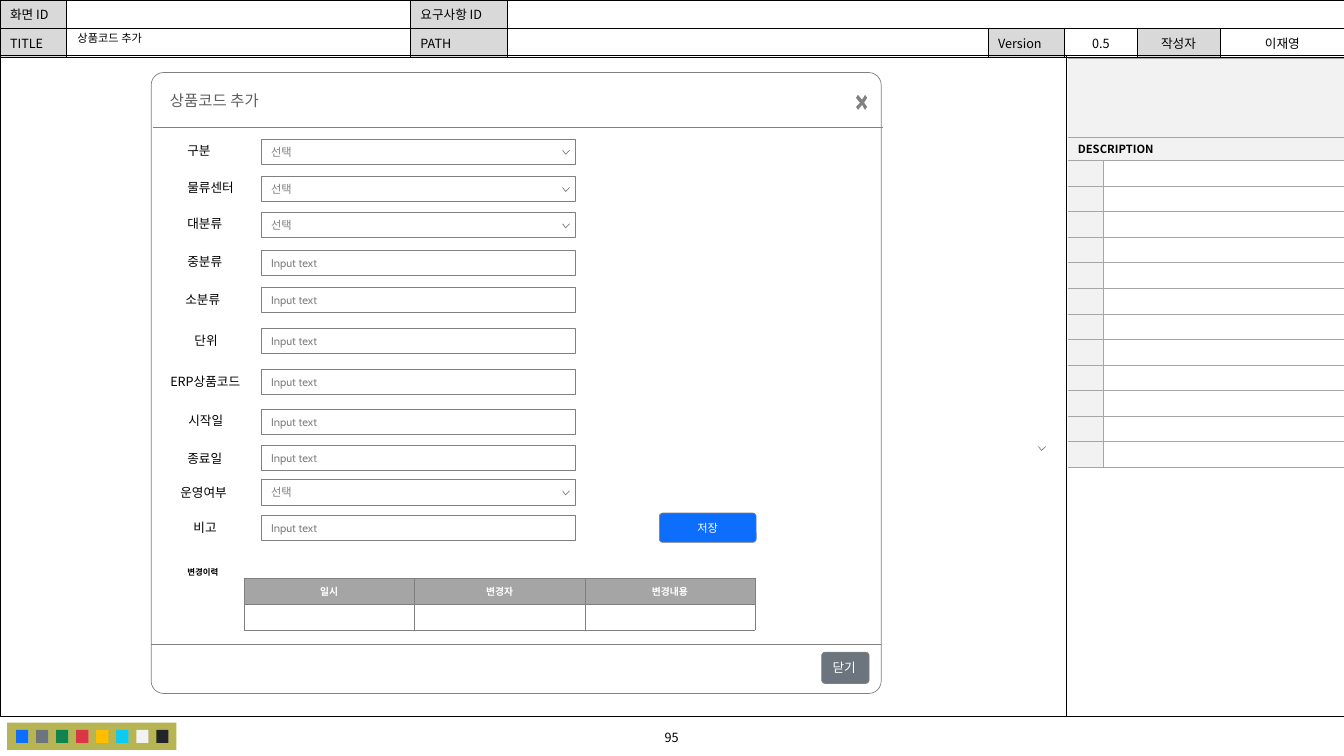
import dataclasses
import lxml.etree
import pptx
import pptx.dml.color
import pptx.enum.shapes
import pptx.enum.text
import pptx.oxml.ns
import pptx.util

Inches = pptx.util.Inches
Kind = pptx.enum.shapes.MSO_SHAPE
Side = pptx.enum.text.PP_ALIGN
Anchor = pptx.enum.text.MSO_ANCHOR
qn = pptx.oxml.ns.qn


@dataclasses.dataclass(frozen=True)
class Theme:
    """Colours, fonts and type sizes."""
    ink: str = "000000"
    white: str = "FFFFFF"
    gray: str = "808080"
    title: str = "5F5F5F"
    label: str = "D9D9D9"
    pale: str = "F2F2F2"
    rule: str = "A6A6A6"
    head: str = "A5A5A5"
    blue: str = "0D6EFD"
    slate: str = "6C757D"
    olive: str = "B7B553"
    chips: tuple = ("0D6EFD", "6C757D", "10834E", "DC3545",
                    "FFBE00", "0DCAF0", "F2F2F2", "212529")
    noto: str = "Noto Sans CJK KR"
    cabin: str = "Cabin"
    big: int = 11
    body: int = 9
    small: int = 8
    tiny: int = 7
    note: int = 6


class Page:
    """Draws styled elements on one slide."""

    def __init__(self, slide, theme):
        self.shapes = slide.shapes
        self.theme = theme

    def color(self, code):
        return pptx.dml.color.RGBColor.from_string(code)

    def add_run(self, frame, text, size, color, font, bold=False, side=Side.LEFT):
        para = frame.paragraphs[0]
        para.alignment = side
        run = para.add_run()
        run.text = text
        run.font.size = pptx.util.Pt(size)
        run.font.name = font
        run.font.bold = bold
        run.font.color.rgb = self.color(color)
        east = lxml.etree.SubElement(run._r.get_or_add_rPr(), qn("a:ea"))
        east.set("typeface", font)

    def inset(self, item, pads):
        left, top, right, bottom = map(Inches, pads)
        item.margin_left, item.margin_right = left, right
        item.margin_top, item.margin_bottom = top, bottom

    def paint(self, shape, fill, line, width):
        shape.shadow.inherit = False
        if fill:
            shape.fill.solid()
            shape.fill.fore_color.rgb = self.color(fill)
        else:
            shape.fill.background()
        if line:
            shape.line.color.rgb = self.color(line)
            shape.line.width = pptx.util.Pt(width)
        else:
            shape.line.fill.background()

    def box(self, at, fill=None, line=None, width=0.5, turn=None):
        kind = Kind.RECTANGLE if turn is None else Kind.ROUNDED_RECTANGLE
        shape = self.shapes.add_shape(kind, *map(Inches, at))
        if turn is not None:
            shape.adjustments[0] = turn
        self.paint(shape, fill, line, width)
        return shape

    def fill_in(self, shape, text, size, color, pads, anchor=Anchor.MIDDLE, side=Side.LEFT):
        frame = shape.text_frame
        frame.word_wrap = True
        frame.vertical_anchor = anchor
        self.inset(frame, pads)
        self.add_run(frame, text, size, color, self.theme.cabin, side=side)

    def text(self, at, text, size, bold=False, side=Side.LEFT, lead=None):
        frame = self.shapes.add_textbox(*map(Inches, at)).text_frame
        frame.word_wrap = True
        self.add_run(frame, text, size, self.theme.ink, self.theme.noto, bold, side)
        if lead:
            frame.paragraphs[0].line_spacing = lead

    def line(self, x1, y1, x2, y2, color):
        kind = pptx.enum.shapes.MSO_CONNECTOR.STRAIGHT
        line = self.shapes.add_connector(kind, *map(Inches, (x1, y1, x2, y2)))
        line.line.color.rgb = self.color(color)
        line.line.width = pptx.util.Pt(0.5)
        lxml.etree.SubElement(line._element.spPr, qn("a:effectLst"))

    def free(self, points, fill, line=None, close=False):
        spots = [(Inches(x), Inches(y)) for x, y in points]
        pen = self.shapes.build_freeform(*spots[0])
        pen.add_line_segments(spots[1:], close=close)
        self.paint(pen.convert_to_shape(), fill, line, 0.5)

    def arrow(self, x, y):
        points = [(x + 0.07, y), (x + 0.03, y + 0.04), (x, y)]
        self.free(points, self.theme.white, self.theme.gray)

    def field(self, top, pick):
        shape = self.box((2.59, top, 3.12, 0.25), self.theme.white, self.theme.gray)
        text = "선택" if pick else "Input text"
        self.fill_in(shape, text, self.theme.small, self.theme.gray, (0.1, 0.06, 0.28, 0.06))
        if pick:
            self.arrow(5.58, top + 0.11)

    def table(self, left, top, cols, rows):
        place = (left, top, sum(cols), sum(rows))
        table = self.shapes.add_table(len(rows), len(cols), *map(Inches, place)).table
        table.first_row = table.horz_banding = False
        for col, width in zip(table.columns, cols):
            col.width = Inches(width)
        for row, high in zip(table.rows, rows):
            row.height = Inches(high)
        return table

    def cell(self, cell, text, fill, edges, line, width, size, color=None,
             bold=False, side=Side.LEFT, pads=(0.1, 0.05, 0.1, 0.05), anchor=Anchor.MIDDLE):
        props = cell._tc.get_or_add_tcPr()
        for edge in "LRTB":
            border = lxml.etree.SubElement(props, qn("a:ln" + edge), w=str(pptx.util.Pt(width)))
            if edge in edges:
                paint = lxml.etree.SubElement(border, qn("a:solidFill"))
                lxml.etree.SubElement(paint, qn("a:srgbClr"), val=line)
            else:
                lxml.etree.SubElement(border, qn("a:noFill"))
        cell.fill.solid()
        cell.fill.fore_color.rgb = self.color(fill)
        cell.vertical_anchor = anchor
        self.inset(cell, pads)
        if text:
            self.add_run(cell.text_frame, text, size, color or self.theme.ink,
                         self.theme.noto, bold, side)
        else:
            para = cell.text_frame.paragraphs[0]._p
            lxml.etree.SubElement(para, qn("a:endParaRPr"), sz=str(size * 100))


def frame(page, t):
    """Draw the header, outline, page number and palette."""
    rows = (("화면 ID", "", "요구사항 ID", "", "", "", "", ""),
            ("TITLE", "", "PATH", "", "Version", "0.5", "작성자", "이재영"))
    grid = page.table(0, 0, (0.66, 3.41, 0.96, 4.77, 0.76, 0.72, 0.82, 1.24), (0.28, 0.28))
    grid.cell(0, 3).merge(grid.cell(0, 7))
    for r, row in enumerate(rows):
        for c, text in enumerate(row):
            fill = t.label if text and c not in (5, 7) else t.white
            side = Side.CENTER if c > 4 else Side.LEFT
            page.cell(grid.cell(r, c), text, fill, "LRTB", t.ink, 0.5, t.body,
                      side=side, anchor=Anchor.TOP)
    page.box((0, 0.55, 13.33, 6.56), line=t.ink, width=0.25)
    page.text((5.37, 7.19, 2.58, 0.25), "95", t.body, side=Side.CENTER)
    page.line(10.58, 0.56, 10.58, 7.11, t.ink)
    page.box((0.07, 7.17, 1.68, 0.27), t.olive)
    for i, chip in enumerate(t.chips):
        page.box((0.16 + i * 1.39 / 7, 7.24, 0.12, 0.13), chip)
    page.text((0.67, 0.28, 3.38, 0.2), "상품코드 추가", t.small, lead=0.9)


def dialog(page, t):
    """Draw the dialog with its fields, buttons and history."""
    panel = page.box((1.5, 0.72, 7.24, 6.16), t.white, t.gray, turn=0.02)
    page.fill_in(panel, "상품코드 추가", t.big, t.title, (0.15, 0.15, 0.1, 0.05), Anchor.TOP)
    page.line(1.52, 1.26, 8.76, 1.26, t.gray)
    page.line(1.5, 6.39, 8.74, 6.39, t.gray)
    cross = ((8.51, 0.94), (8.49, 0.97), (8.53, 1.02), (8.49, 1.06), (8.51, 1.09), (8.55, 1.04),
             (8.58, 1.09), (8.6, 1.06), (8.57, 1.02), (8.6, 0.97), (8.58, 0.94), (8.55, 0.99))
    page.free(cross, t.gray, close=True)
    save = page.box((6.54, 5.09, 0.96, 0.29), t.blue, t.gray, turn=0.11)
    page.fill_in(save, "저장", t.small, t.white, (0.11, 0.07, 0.11, 0.07), side=Side.CENTER)
    shut = page.box((8.15, 6.47, 0.47, 0.31), t.slate, t.gray, turn=0.11)
    page.fill_in(shut, "닫기", t.body, t.white, (0.1, 0.07, 0.1, 0.07))
    fields = (("구분", 1.76, 1.37, 0.75, 1.38, True), ("물류센터", 1.76, 1.74, 0.75, 1.75, True),
              ("대분류", 1.76, 2.09, 0.75, 2.11, True), ("중분류", 1.76, 2.47, 0.75, 2.48, False),
              ("소분류", 1.74, 2.85, 0.75, 2.85, False), ("단위", 1.83, 3.25, 0.61, 3.26, False),
              ("ERP상품코드", 1.59, 3.66, 0.98, 3.66, False),
              ("시작일", 1.77, 4.05, 0.66, 4.06, False), ("종료일", 1.76, 4.42, 0.66, 4.42, False),
              ("운영여부", 1.69, 4.76, 0.78, 4.76, True), ("비고", 1.82, 5.11, 0.46, 5.11, False))
    for name, left, top, width, spot, pick in fields:
        page.text((left, top, width, 0.25), name, t.body)
        page.field(spot, pick)
    page.text((1.76, 5.58, 0.58, 0.2), "변경이력", t.note, bold=True)
    grid = page.table(2.42, 5.74, (1.69,) * 3, (0.25, 0.26))
    for c, text in enumerate(("일시", "변경자", "변경내용")):
        for r, (word, fill) in enumerate(((text, t.head), ("", t.white))):
            page.cell(grid.cell(r, c), word, fill, "LRTB", t.gray, 0.25, t.tiny, t.white,
                      True, Side.CENTER, (0.05, 0.03, 0.05, 0.03))


def notes(page, t):
    """Draw the description panel and the stray arrow."""
    grid = page.table(10.59, 0.58, (0.35, 2.39), (0.78, 0.23) + (3.05 / 12,) * 12)
    for r in range(14):
        if r < 2:
            grid.cell(r, 0).merge(grid.cell(r, 1))
        for c in range(2):
            text = "DESCRIPTION" if (r, c) == (1, 0) else ""
            fill = t.pale if r < 2 or c == 0 else t.white
            edges = "LTB" if r > 1 and c else "TB"
            page.cell(grid.cell(r, c), text, fill, edges, t.rule, 0.5, t.small,
                      bold=True, pads=(0.1, 0.03, 0.1, 0.03))
    page.arrow(10.3, 4.43)


def main():
    """Build and save the slide."""
    deck = pptx.Presentation()
    deck.slide_width, deck.slide_height = Inches(13.33), Inches(7.5)
    theme = Theme()
    page = Page(deck.slides.add_slide(deck.slide_layouts[6]), theme)
    for draw in (frame, dialog, notes):
        draw(page, theme)
    deck.save("out.pptx")


if __name__ == "__main__":
    main()
